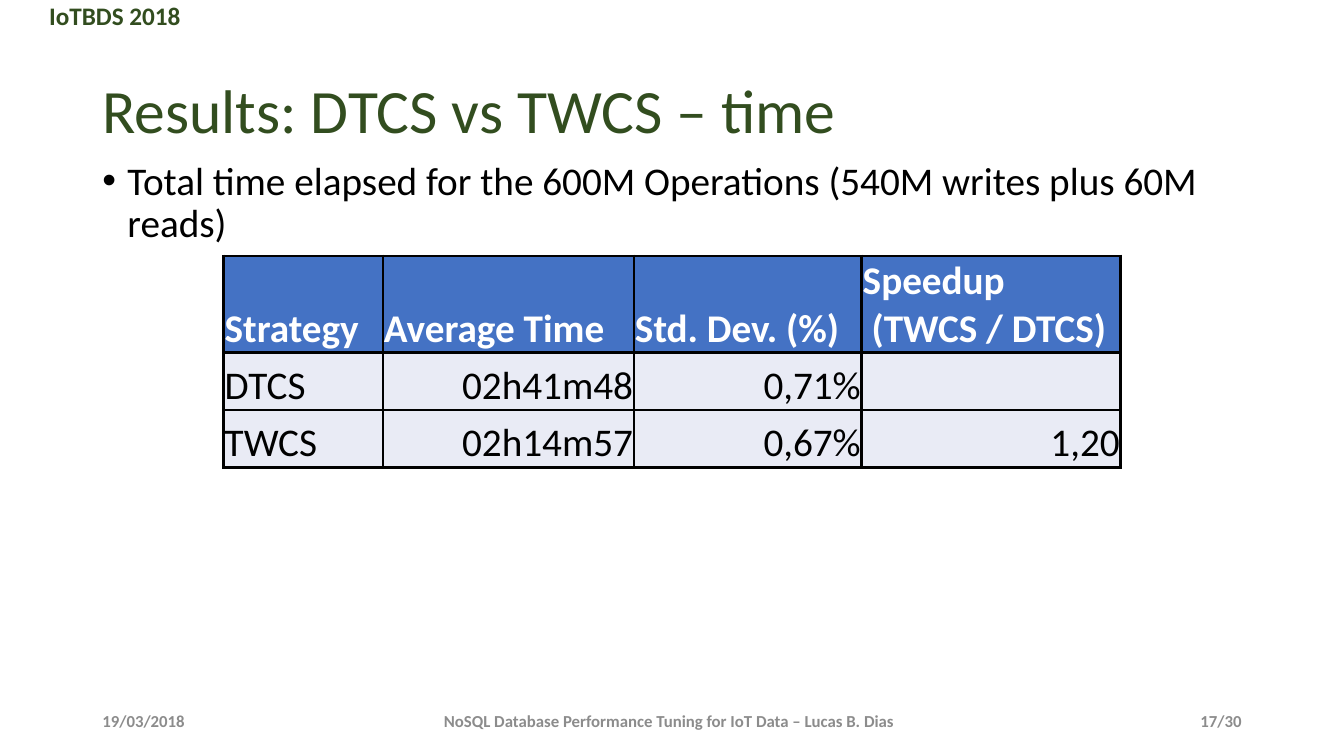
from lxml import etree
from pptx import Presentation
from pptx.dml.color import RGBColor
from pptx.enum.text import MSO_ANCHOR as Anchor, PP_ALIGN as Align
from pptx.oxml import ns
from pptx.util import Pt

GREEN = RGBColor(0x32, 0x4D, 0x1F)
BLACK = RGBColor(0, 0, 0)
WHITE = RGBColor(255, 255, 255)
GRAY = RGBColor(0x8C, 0x8C, 0x8C)
BLUE = RGBColor(0x44, 0x72, 0xC4)
PALE = RGBColor(0xE9, 0xEB, 0xF5)

LEFT, MID, RIGHT = Align.LEFT, Align.CENTER, Align.RIGHT
TOP, CENTER = Anchor.TOP, Anchor.MIDDLE

HEAD = ("IoTBDS 2018", (28, -3.6, 358, 29), 18, GREEN, True, LEFT, TOP)
TITLE = ("Results: DTCS vs TWCS – time",
         (66, 28.8, 828, 104.4), 44, GREEN, False, LEFT, CENTER)
BODY = ("Total time elapsed for the 600M Operations (540M writes plus 60M reads)",
        (66, 111.6, 828, 342.7), 28, BLACK, False, LEFT, TOP)
FOOT = [
    ("19/03/2018", 66, 137, LEFT),
    ("NoSQL Database Performance Tuning for IoT Data – Lucas B. Dias",
     309, 338, MID),
    ("17/30", 678, 216, RIGHT),
]
ROWS = [
    ("Strategy", "Average Time", "Std. Dev. (%)", "Speedup\v (TWCS / DTCS)"),
    ("DTCS", "02h41m48", "0,71%", ""),
    ("TWCS", "02h14m57", "0,67%", "1,20"),
]
WIDTHS = (113.8, 179.3, 162.7, 185)
HEIGHTS = (69, 41, 41)
TABLE = (159.8, 182.9)


def style(para, size, color, bold, align):
    para.alignment = align
    font = para.font
    font.name, font.size, font.bold = "Calibri", Pt(size), bold
    font.color.rgb = color


def label(slide, words, place, size, color, bold, align, anchor):
    box = slide.shapes.add_textbox(*map(Pt, place))
    frame = box.text_frame
    frame.word_wrap = True
    frame.vertical_anchor = anchor
    frame.text = words
    para = frame.paragraphs[0]
    style(para, size, color, bold, align)
    return para


def border(cell):
    props = cell._tc.get_or_add_tcPr()
    for side in ("a:lnL", "a:lnR", "a:lnT", "a:lnB"):
        line = etree.SubElement(props, ns.qn(side), w=str(Pt(2.25)))
        fill = etree.SubElement(line, ns.qn("a:solidFill"))
        etree.SubElement(fill, ns.qn("a:srgbClr"), val=str(BLACK))


def grid(slide):
    size = sum(WIDTHS), sum(HEIGHTS)
    table = slide.shapes.add_table(
        len(ROWS), len(WIDTHS), *map(Pt, TABLE + size)).table
    for col, width in zip(table.columns, WIDTHS):
        col.width = Pt(width)
    for r, row in enumerate(ROWS):
        table.rows[r].height = Pt(HEIGHTS[r])
        for c, words in enumerate(row):
            cell = table.cell(r, c)
            cell.text = words
            cell.vertical_anchor = Anchor.BOTTOM
            cell.margin_left = cell.margin_right = cell.margin_top = Pt(0.72)
            cell.margin_bottom = 0
            border(cell)
            cell.fill.solid()
            cell.fill.fore_color.rgb = PALE if r else BLUE
            style(cell.text_frame.paragraphs[0], 28, BLACK if r else WHITE,
                  r == 0, RIGHT if r and c else LEFT)


def main():
    deck = Presentation()
    deck.slide_width, deck.slide_height = Pt(960), Pt(540)
    slide = deck.slides.add_slide(deck.slide_layouts[6])
    label(slide, *HEAD)
    label(slide, *TITLE).line_spacing = 0.9

    para = label(slide, *BODY)
    para.line_spacing = 0.9
    para.space_before = Pt(10)
    props = para._p.get_or_add_pPr()
    props.set("marL", str(Pt(18)))
    props.set("indent", str(Pt(-18)))
    etree.SubElement(props, ns.qn("a:buFont"), typeface="Arial")
    etree.SubElement(props, ns.qn("a:buChar"), char="•")
    props.append(props.find(ns.qn("a:defRPr")))

    grid(slide)
    for words, left, width, align in FOOT:
        label(slide, words, (left, 500.4, width, 28.8),
              12, GRAY, True, align, CENTER)
    deck.save("out.pptx")


if __name__ == "__main__":
    main()
